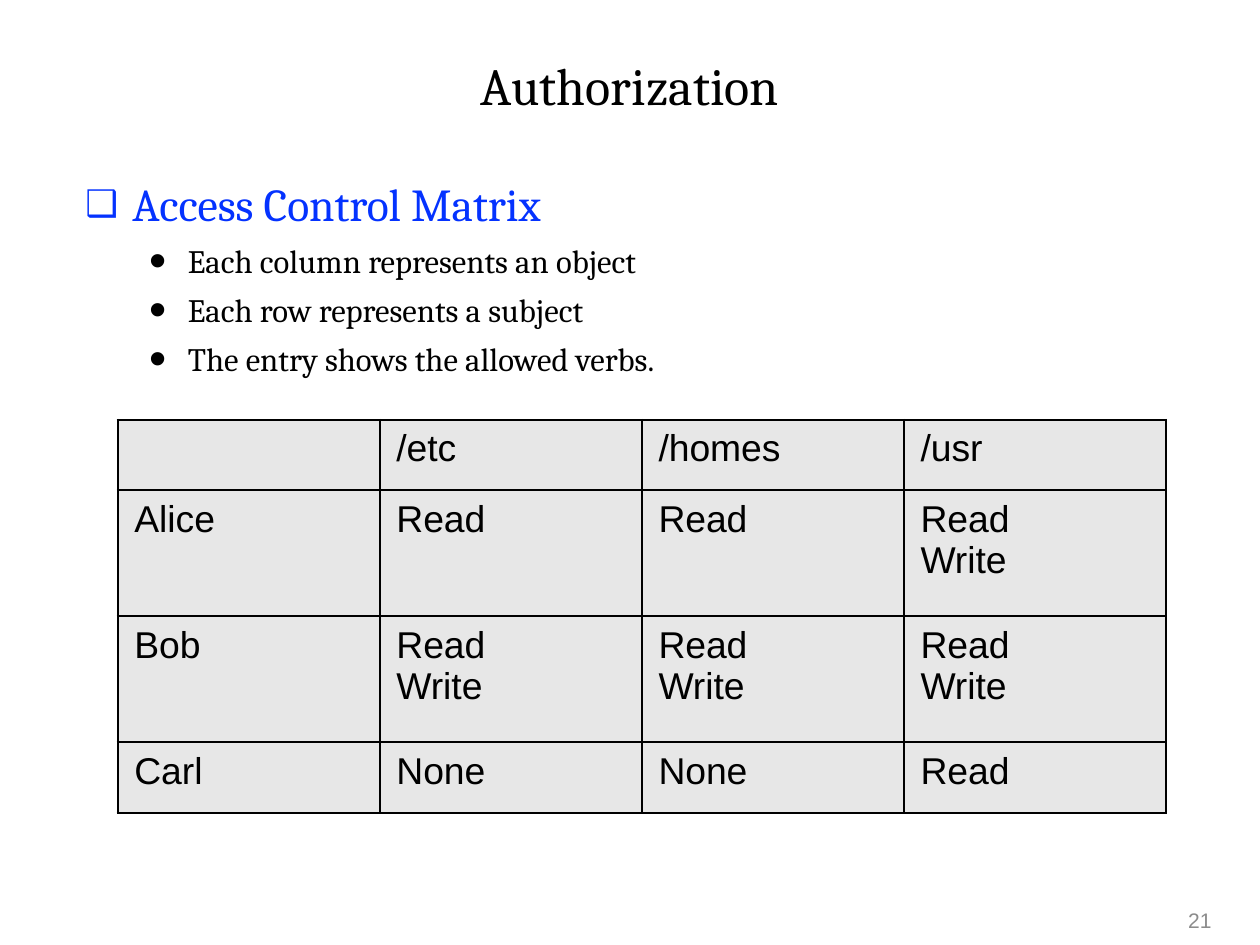
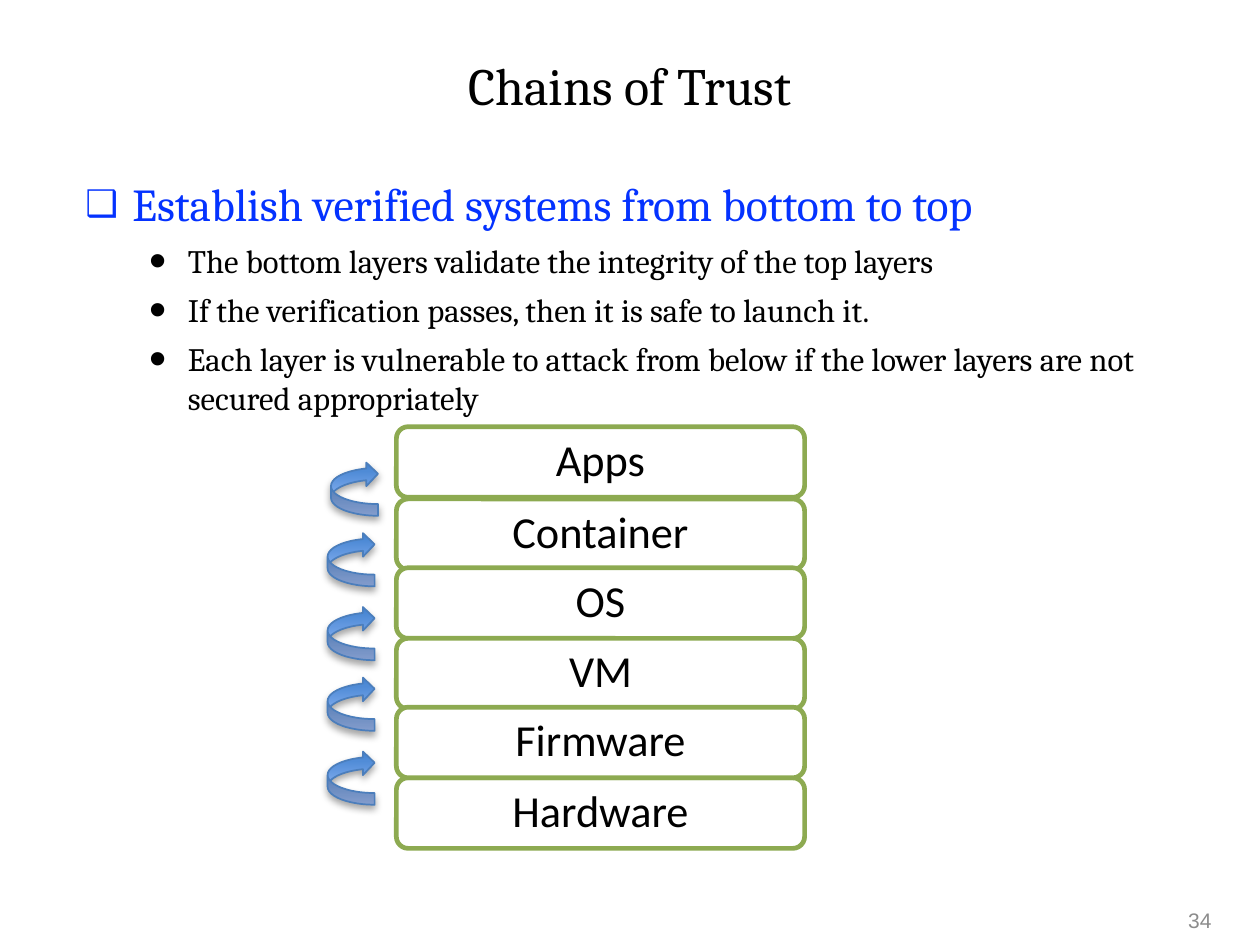
from lxml import etree
from pptx import Presentation, util as u
from pptx.dml.color import RGBColor
from pptx.enum import shapes, text
from pptx.oxml import parse_xml
from pptx.oxml.ns import nsdecls, qn

PX = 9144  # 100 px to the inch

BLACK = RGBColor(0x00, 0x00, 0x00)
WHITE = RGBColor(0xFF, 0xFF, 0xFF)
BLUE = RGBColor(0x04, 0x32, 0xFF)
GREY = RGBColor(0x8C, 0x8C, 0x8C)
CELL_GREY = RGBColor(0xE7, 0xE7, 0xE7)
GREEN = RGBColor(0x8D, 0xAA, 0x51)
ARROW_LINE = RGBColor(0x4B, 0x7E, 0xBC)
ARROW_FILL = (RGBColor(0x3F, 0x80, 0xCE), RGBColor(0xA4, 0xC4, 0xFF))

SERIF, SANS, LABEL = "Cambria", "Arial", "Calibri"
CENTER, RIGHT = text.PP_ALIGN.CENTER, text.PP_ALIGN.RIGHT

# level: (left margin px, hanging px, bullet, bullet size %, text size, colour)
LEVELS = (
    (28, 28, "❑", 80, 19.6, BLUE),
    (61, 23, "•", 150, 14, BLACK),
)


def px(*lengths):
    return [u.Emu(n * PX) for n in lengths]


def add_run(p, words, font, size, color):
    r = p.add_run()
    r.text = words
    r.font.name, r.font.size = font, u.Pt(size)
    r.font.color.rgb = color


def add_text(s, box, words, font, size, color, align, margin=None):
    tf = s.shapes.add_textbox(*px(*box)).text_frame
    tf.word_wrap = True
    tf.vertical_anchor = text.MSO_ANCHOR.MIDDLE
    if margin is not None:
        tf.margin_left = tf.margin_right = tf.margin_top = tf.margin_bottom = margin
    p = tf.paragraphs[0]
    p.alignment = align
    add_run(p, words, font, size, color)


def set_bullet(p, level):
    margin, hanging, mark, percent = LEVELS[level][:4]
    pPr = p._p.get_or_add_pPr()
    pPr.set("marL", str(margin * PX))
    pPr.set("indent", str(-hanging * PX))
    etree.SubElement(pPr, qn("a:buSzPct")).set("val", str(percent * 1000))
    etree.SubElement(pPr, qn("a:buFont")).set("typeface", SANS)
    etree.SubElement(pPr, qn("a:buChar")).set("char", mark)


def add_bullets(s, heading, points):
    tf = s.shapes.add_textbox(*px(41, 100, 681, 443)).text_frame
    tf.word_wrap = True
    for level, words in [(0, heading)] + [(1, point) for point in points]:
        p = tf.add_paragraph() if level else tf.paragraphs[0]
        p.level = level
        set_bullet(p, level)
        if level:
            p.space_before = u.Pt(4.2)
        add_run(p, words, SERIF, *LEVELS[level][4:])


def add_slide(prs, title, number, heading, points):
    """Add a slide with the shared title, bullets and page number."""
    s = prs.slides.add_slide(prs.slide_layouts[6])
    add_text(s, (8, 18, 734, 65), title, SERIF, 22.4, BLACK, CENTER, margin=0)
    add_bullets(s, heading, points)
    add_text(s, (556, 533, 175, 30), number, SANS, 9, GREY, RIGHT)
    return s


def style_cell(cell):
    tcPr = cell._tc.get_or_add_tcPr()
    for side in "LRTB":
        tcPr.append(parse_xml(
            f'<a:ln{side} {nsdecls("a")} w="{u.Pt(1)}"><a:solidFill>'
            f'<a:srgbClr val="{BLACK}"/></a:solidFill></a:ln{side}>'))
    cell.fill.solid()
    cell.fill.fore_color.rgb = CELL_GREY


def add_matrix(s, box, heights, rows):
    """Add the table; each word of an entry stands on its own line."""
    table = s.shapes.add_table(len(rows), len(rows[0]), *px(*box)).table
    table.first_row = table.horz_banding = False
    for row, height, entries in zip(table.rows, px(*heights), rows):
        row.height = height
        for cell, entry in zip(row.cells, entries):
            style_cell(cell)
            p = cell.text_frame.paragraphs[0]
            for i, words in enumerate(entry.split()):
                if i:
                    p.add_line_break()
                add_run(p, words, SANS, 16, BLACK)


def add_layer(s, top, name):
    sp = s.shapes.add_shape(shapes.MSO_SHAPE.ROUNDED_RECTANGLE, *px(236, top, 243, 42))
    sp.shadow.inherit = False
    sp.fill.solid()
    sp.fill.fore_color.rgb = WHITE
    sp.line.color.rgb, sp.line.width = GREEN, u.Pt(2)
    tf = sp.text_frame
    tf.margin_top = tf.margin_bottom = px(6)[0]
    p = tf.paragraphs[0]
    p.alignment, p.line_spacing = CENTER, 0.9
    add_run(p, name, LABEL, 19, BLACK)


def add_arrow(s, left, top):
    sp = s.shapes.add_shape(shapes.MSO_SHAPE.CURVED_LEFT_ARROW, *px(left, top, 28, 32))
    sp.rotation = 180
    sp.fill.gradient()
    sp.fill.gradient_angle = 90
    for stop, color in zip(sp.fill.gradient_stops, ARROW_FILL):
        stop.color.rgb = color
    sp.line.color.rgb, sp.line.width = ARROW_LINE, u.Pt(0.75)
    sp.shadow.inherit = False
    sp._element.spPr.find(qn("a:effectLst")).append(parse_xml(
        f'<a:outerShdw {nsdecls("a")} blurRad="{u.Pt(3.1)}" dist="{u.Pt(1.8)}" '
        f'dir="5400000" rotWithShape="0"><a:srgbClr val="{BLACK}">'
        '<a:alpha val="35000"/></a:srgbClr></a:outerShdw>'))


def main():
    prs = Presentation()
    prs.slide_width = px(750)[0]
    prs.slide_height = u.Emu(prs.slide_width * 3 // 4)

    s = add_slide(prs, "Authorization", "21", "Access Control Matrix", (
        "Each column represents an object",
        "Each row represents a subject",
        "The entry shows the allowed verbs.",
    ))
    add_matrix(s, (70, 250, 624, 234), (42, 75, 75, 42), (
        ("", "/etc", "/homes", "/usr"),
        ("Alice", "Read", "Read", "Read Write"),
        ("Bob", "Read Write", "Read Write", "Read Write"),
        ("Carl", "None", "None", "Read"),
    ))

    s = add_slide(prs, "Chains of Trust", "34",
                  "Establish verified systems from bottom to top", (
        "The bottom layers validate the integrity of the top layers",
        "If the verification passes, then it is safe to launch it.",
        "Each layer is vulnerable to attack from below if the lower layers are not "
        "secured appropriately",
    ))
    for top, name in ((254, "Apps"), (297, "Container"), (338, "OS"),
                      (380, "VM"), (463, "Hardware"), (421, "Firmware")):
        add_layer(s, top, name)
    for left, top in ((195, 447), (195, 403), (195, 361), (195, 317), (197, 275)):
        add_arrow(s, left, top)

    prs.save("out.pptx")


if __name__ == "__main__":
    main()
